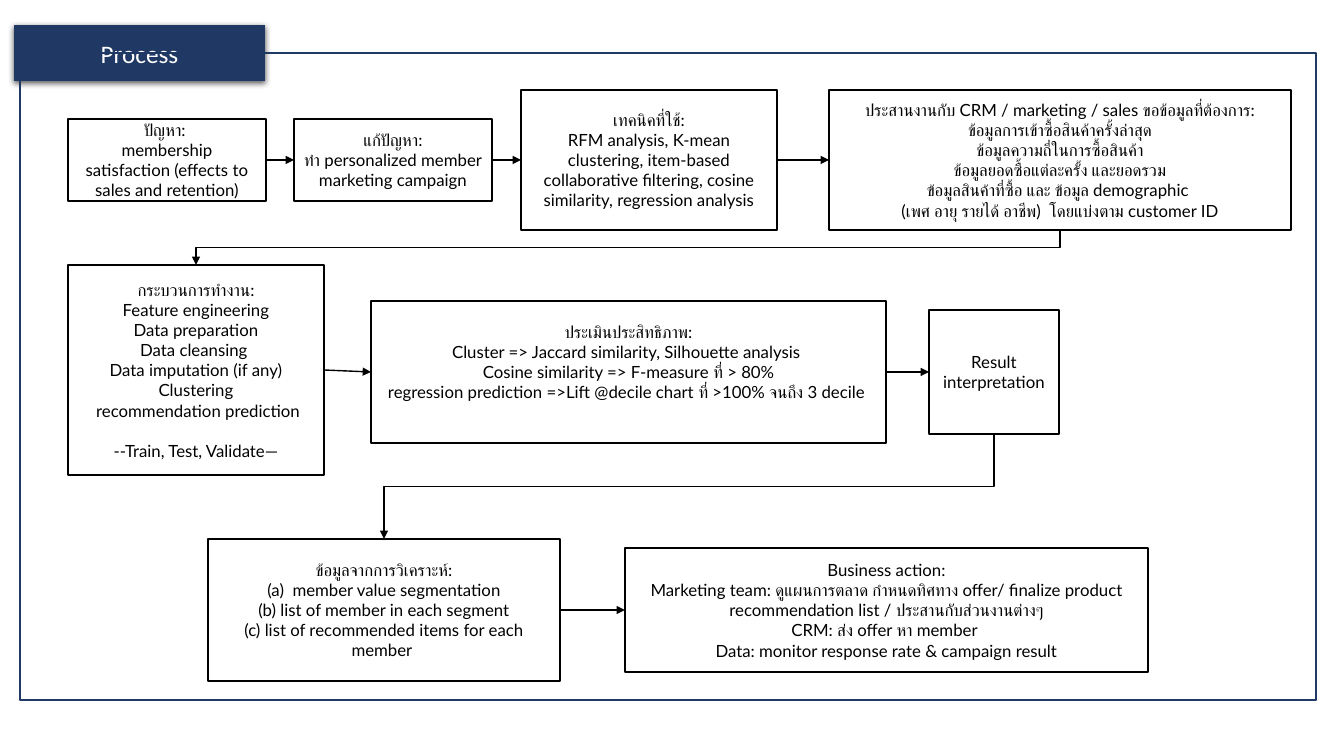
"""Build the process flowchart slide."""
import lxml.etree
import pptx
import pptx.dml.color
import pptx.enum.shapes
import pptx.enum.text
import pptx.oxml
import pptx.oxml.ns
import pptx.util

BLACK = pptx.dml.color.RGBColor(0x00, 0x00, 0x00)
WHITE = pptx.dml.color.RGBColor(0xFF, 0xFF, 0xFF)
NAVY = pptx.dml.color.RGBColor(0x20, 0x38, 0x64)
PIXELS_PER_INCH = 100.8
TOP, LEFT, BOTTOM, RIGHT = range(4)
qn = pptx.oxml.ns.qn


def px(pixels):
    return pptx.util.Emu(round(pixels * 914400 / PIXELS_PER_INCH))


class FlowSlide:
    font = "Lato"
    size = 12
    line_width = pptx.util.Pt(1)

    def __init__(self, slide):
        self.slide = slide

    def rectangle(self, bounds, fill=None, line=None):
        shape = self.slide.shapes.add_shape(
            pptx.enum.shapes.MSO_SHAPE.RECTANGLE, *map(px, bounds))
        shape.shadow.inherit = False
        if fill is None:
            shape.fill.background()
        else:
            shape.fill.solid()
            shape.fill.fore_color.rgb = fill
        if line is None:
            shape.line.fill.background()
        else:
            shape.line.color.rgb = line
            shape.line.width = self.line_width
        return shape

    def label(self, shape, lines, font, size, color):
        frame = shape.text_frame
        frame.word_wrap = True
        frame.vertical_anchor = pptx.enum.text.MSO_ANCHOR.MIDDLE
        frame.text = "\n".join(lines)
        for paragraph in frame.paragraphs:
            paragraph.alignment = pptx.enum.text.PP_ALIGN.CENTER
            for run in paragraph.runs:
                run.font.name = font
                run.font.size = pptx.util.Pt(size)
                run.font.color.rgb = color

    def step(self, bounds, *lines):
        shape = self.rectangle(bounds, WHITE, BLACK)
        self.label(shape, lines, self.font, self.size, BLACK)
        return shape

    def title(self, bounds, text):
        shape = self.rectangle(bounds, NAVY)
        self.label(shape, [text], "Calibri", 18, WHITE)
        effects = shape.element.spPr.find(qn("a:effectLst"))
        shadow = lxml.etree.SubElement(
            effects, qn("a:outerShdw"), blurRad="57150", dist="19050",
            dir="5400000", algn="ctr", rotWithShape="0")
        color = lxml.etree.SubElement(shadow, qn("a:srgbClr"), val=str(BLACK))
        lxml.etree.SubElement(color, qn("a:alpha"), val="63000")

    def number(self, paragraph):
        properties = paragraph._p.get_or_add_pPr()
        properties.set("marL", "228600")
        properties.set("indent", "-228600")
        lxml.etree.SubElement(properties, qn("a:buFont"), typeface=self.font)
        lxml.etree.SubElement(
            properties, qn("a:buAutoNum"), type="alphaLcParenBoth")

    def connect(self, kind, source, source_site, target, target_site):
        connector = self.slide.shapes.add_connector(kind, 0, 0, 0, 0)
        connector.begin_connect(source, source_site)
        connector.end_connect(target, target_site)
        connector.line.color.rgb = BLACK
        connector.line.width = self.line_width
        outline = connector.element.spPr.find(qn("a:ln"))
        lxml.etree.SubElement(outline, qn("a:tailEnd"), type="triangle")
        lxml.etree.SubElement(connector.element.spPr, qn("a:effectLst"))
        return connector

    def arrow(self, source, target):
        self.connect(pptx.enum.shapes.MSO_CONNECTOR.STRAIGHT,
                     source, RIGHT, target, LEFT)

    def turn_down(self, source, target):
        connector = self.connect(pptx.enum.shapes.MSO_CONNECTOR.ELBOW,
                                 source, BOTTOM, target, TOP)
        across, down = connector.width, connector.height
        connector.left += (across - down) // 2
        connector.top += (down - across) // 2
        connector.width, connector.height = down, across
        transform = connector.element.spPr.find(qn("a:xfrm"))
        transform.attrib.pop("flipH", None)
        transform.set("rot", "5400000")


presentation = pptx.Presentation()
presentation.slide_width = px(1344)
presentation.slide_height = px(756)
flow = FlowSlide(presentation.slides.add_slide(presentation.slide_layouts[6]))

problem = flow.step(
    (68, 119, 198, 82), "ปัญหา: ",
    "membership satisfaction (effects to sales and retention)")
solution = flow.step(
    (294, 119, 198, 82), "แก้ปัญหา:",
    "ทำ personalized member marketing campaign")
techniques = flow.step(
    (521, 90, 256, 140), "เทคนิคที่ใช้:",
    "RFM analysis, K-mean clustering, item-based collaborative filtering, "
    "cosine similarity, regression analysis")
data_request = flow.step(
    (829, 90, 462, 140),
    "ประสานงานกับ CRM / marketing / sales ขอข้อมูลที่ต้องการ:",
    "ข้อมูลการเข้าซื้อสินค้าครั้งล่าสุด",
    "ข้อมูลความถี่ในการซื้อสินค้า",
    "ข้อมูลยอดซื้อแต่ละครั้ง และยอดรวม",
    "ข้อมูลสินค้าที่ซื้อ และ ข้อมูล demographic ",
    "(เพศ อายุ รายได้ อาชีพ)  โดยแบ่งตาม customer ID")
work = flow.step(
    (68, 265, 256, 210), "กระบวนการทำงาน:", "Feature engineering",
    "Data preparation", "Data cleansing ", "Data imputation (if any)",
    "Clustering", " recommendation prediction", "--Train, Test, Validate—")
work.text_frame.paragraphs[-1].space_before = pptx.util.Pt(14.4)
evaluation = flow.step(
    (371, 301, 515, 142), "ประเมินประสิทธิภาพ:",
    "Cluster => Jaccard similarity, Silhouette analysis ",
    "Cosine similarity => F-measure ที่ > 80%",
    "regression prediction =>Lift @decile chart ที่ >100% จนถึง 3 decile ")
evaluation.text_frame.margin_bottom = px(25)
result = flow.step((929, 310, 130, 124), "Result interpretation")
findings = flow.step(
    (208, 539, 352, 142), "ข้อมูลจากการวิเคราะห์:",
    "member value segmentation", " (b) list of member in each segment ",
    "(c) list of recommended items for each member ")
flow.number(findings.text_frame.paragraphs[1])
action = flow.step(
    (625, 548, 523, 124), "Business action:",
    "Marketing team: ดูแผนการตลาด กำหนดทิศทาง offer/ finalize product "
    "recommendation list / ประสานกับส่วนงานต่างๆ",
    "CRM: ส่ง offer หา member ",
    "Data: monitor response rate & campaign result")

for row in ((problem, solution, techniques, data_request),
            (work, evaluation, result), (findings, action)):
    for source, target in zip(row, row[1:]):
        flow.arrow(source, target)
flow.turn_down(data_request, work)
flow.turn_down(result, findings)

flow.title((14, 25, 251, 56), "Process")
flow.rectangle((20, 53, 1296, 647), line=NAVY)

presentation.save("out.pptx")
